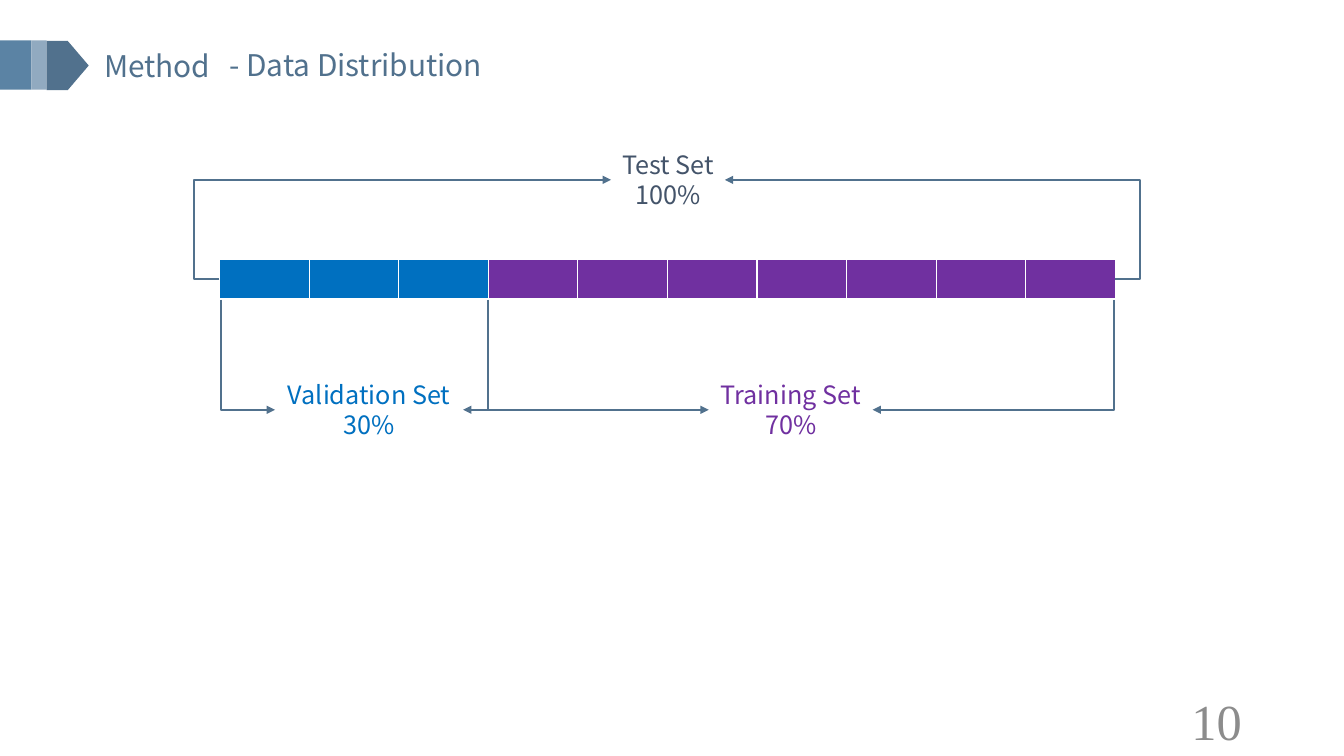
from dataclasses import dataclass

from lxml.etree import SubElement
from pptx import Presentation
from pptx.dml.color import RGBColor
from pptx.enum.shapes import MSO_CONNECTOR as Connector, MSO_SHAPE as Shape
from pptx.enum.text import MSO_ANCHOR as Anchor, PP_ALIGN as Align
from pptx.oxml.ns import qn
from pptx.util import Inches, Pt


@dataclass(frozen=True)
class Theme:
    slate: str = "51718D"
    steel: str = "5B83A4"
    mist: str = "91AAC0"
    ink: str = "44546A"
    validation: str = "0070C0"
    training: str = "7030A0"
    border: str = "FFFFFF"
    number: str = "8C8C8C"
    sans: str = "Noto Sans CJK SC"
    serif: str = "Times New Roman"
    title_size: float = 21.3
    label_size: float = 18
    number_size: float = 36
    line_width: float = 1.5


class SlideBuilder:
    """Draw styled elements on a slide divided into 15 columns and 15 rows."""

    def __init__(self, presentation, theme):
        self.theme = theme
        self.slide = presentation.slides.add_slide(presentation.slide_layouts[6])
        self.column = presentation.slide_width / 15
        self.row = presentation.slide_height / 15

    def place(self, left, top, width, height):
        return (round(left * self.column), round(top * self.row),
                round(width * self.column), round(height * self.row))

    def text(self, text, box, *, size, color, font=None, align=Align.CENTER,
             anchor=Anchor.TOP, wrap=False):
        shape = self.slide.shapes.add_textbox(*self.place(*box))
        frame = shape.text_frame
        frame.word_wrap = wrap
        frame.vertical_anchor = anchor
        frame.text = text
        for paragraph in frame.paragraphs:
            paragraph.alignment = align
            for run in paragraph.runs:
                run.font.name = font or self.theme.sans
                run.font.size = Pt(size)
                run.font.color.rgb = RGBColor.from_string(color)

    def block(self, kind, box, color):
        shape = self.slide.shapes.add_shape(kind, *self.place(*box))
        shape.shadow.inherit = False
        shape.fill.solid()
        shape.fill.fore_color.rgb = RGBColor.from_string(color)
        shape.line.fill.background()

    def bar(self, box, colors):
        table = self.slide.shapes.add_table(1, len(colors), *self.place(*box)).table
        table.first_row = table.horz_banding = False
        for cell, color in zip(table.iter_cells(), colors):
            cell.text_frame.paragraphs[0].font.size = Pt(10)
            properties = cell._tc.get_or_add_tcPr()
            for side, width in (("L", 1), ("R", 1), ("T", 1), ("B", 3)):
                line = SubElement(properties, qn(f"a:ln{side}"), w=str(Pt(width)))
                fill = SubElement(line, qn("a:solidFill"))
                SubElement(fill, qn("a:srgbClr"), val=self.theme.border)
            cell.fill.solid()
            cell.fill.fore_color.rgb = RGBColor.from_string(color)

    def elbow_arrow(self, start, end, reach=0):
        begin_x, begin_y, end_x, end_y = self.place(*start, *end)
        connector = self.slide.shapes.add_connector(
            Connector.ELBOW, begin_x, begin_y, end_x, end_y)
        connector.line.width = Pt(self.theme.line_width)
        connector.line.color.rgb = RGBColor.from_string(self.theme.slate)
        properties = connector._element.spPr
        guides = properties.find(qn("a:prstGeom")).find(qn("a:avLst"))
        bend = round(-100000 * reach / abs(end[0] - start[0]))
        SubElement(guides, qn("a:gd"), name="adj1", fmla=f"val {bend}")
        SubElement(connector.line._get_or_add_ln(), qn("a:tailEnd"), type="triangle")
        SubElement(properties, qn("a:effectLst"))


def main():
    presentation = Presentation()
    presentation.slide_width = Inches(13.33)
    presentation.slide_height = Inches(7.5)
    theme = Theme()
    builder = SlideBuilder(presentation, theme)

    builder.block(Shape.RECTANGLE, (0, 0.8, 0.35, 0.98), theme.steel)
    builder.block(Shape.RECTANGLE, (0.35, 0.8, 0.17, 0.98), theme.mist)
    builder.block(Shape.PENTAGON, (0.52, 0.81, 0.47, 0.98), theme.slate)
    for title, box in (("Method", (0.99, 0.84, 1.53, 0.92)),
                       ("- Data Distribution", (2.36, 0.82, 3.22, 0.92))):
        builder.text(title, box, size=theme.title_size, color=theme.slate)

    bar_left, bar_top, bar_height = 2.45, 5.14, 0.81
    validation_cells, training_cells = 3, 7
    split = bar_left + validation_cells
    bar_right = split + training_cells
    bar_bottom = bar_top + bar_height
    bar_middle = bar_top + bar_height / 2
    builder.bar((bar_left, bar_top, bar_right - bar_left, bar_height),
                [theme.validation] * validation_cells
                + [theme.training] * training_cells)

    inset, reach, label_height = 0.02, 0.28, 1.42
    brackets = (
        ("Test Set\n100%", theme.ink, 6.82, 8.09, 2.86,
         bar_left, bar_right, bar_middle, reach),
        ("Validation Set\n30%", theme.validation, 3.07, 5.17, 7.42,
         bar_left + inset, split, bar_bottom, 0),
        ("Training Set\n70%", theme.training, 7.91, 9.74, 7.42,
         split, bar_right - inset, bar_bottom, 0),
    )
    for label, color, left, right, top, first, last, level, bend in brackets:
        builder.text(label, (left, top, right - left, label_height),
                     size=theme.label_size, color=color)
        for start, end in ((first, left), (last, right)):
            builder.elbow_arrow((start, level), (end, top + label_height / 2), bend)

    builder.text("10", (10.6, 13.9, 3.37, 0.8), size=theme.number_size,
                 color=theme.number, font=theme.serif, align=Align.RIGHT,
                 anchor=Anchor.MIDDLE, wrap=True)
    presentation.save("out.pptx")


if __name__ == "__main__":
    main()
